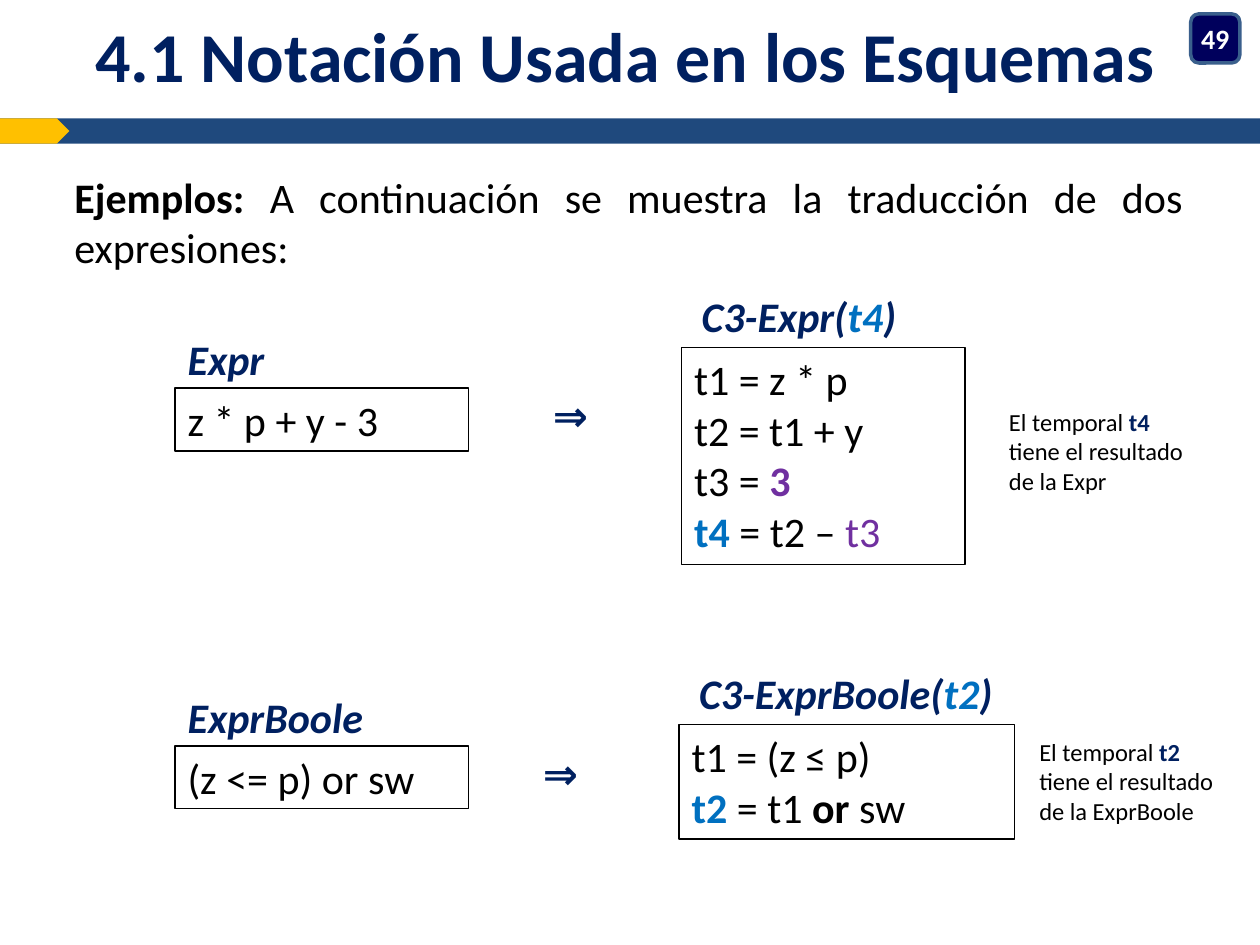
from lxml.etree import SubElement
from pptx import Presentation
from pptx.dml.color import RGBColor
from pptx.enum.shapes import MSO_SHAPE as Preset
from pptx.enum.text import MSO_ANCHOR as Anchor, MSO_AUTO_SIZE as AutoSize, PP_ALIGN as Align
from pptx.oxml.ns import qn
from pptx.util import Inches, Pt

NAVY = RGBColor(0x00, 0x20, 0x60)
BADGE_NAVY = RGBColor(0x00, 0x00, 0x5C)
BADGE_EDGE = RGBColor(0x3A, 0x5F, 0x8C)
BAND_BLUE = RGBColor(0x1F, 0x49, 0x7D)
GOLD = RGBColor(0xFF, 0xC0, 0x00)
BLUE = RGBColor(0x00, 0x70, 0xC0)
PURPLE = RGBColor(0x70, 0x30, 0xA0)
BLACK = RGBColor(0, 0, 0)
WHITE = RGBColor(0xFF, 0xFF, 0xFF)

CODE = {"size": Pt(24), "color": BLACK, "bold": False}
BOLD = {"bold": True}
RESULT = {"bold": True, "color": BLUE}
HEADING = {"size": Pt(24), "color": NAVY, "bold": True, "italic": True}
ARROW = {"size": Pt(24), "color": NAVY, "bold": True}
NOTE = {"size": Pt(14), "color": BLACK, "bold": False}
TITLE = {"size": Pt(40), "color": NAVY, "bold": True}
BADGE = {"size": Pt(16), "color": WHITE, "bold": True}

LINE_HEIGHT = 0.5
SOURCE_LEFT = 1.39
SOURCE_WIDTH = 2.33


def place(shape, left, top, width, height):
    shape.left, shape.top = Inches(left), Inches(top)
    shape.width, shape.height = Inches(width), Inches(height)


def write(shape, lines, base, align=Align.LEFT, **frame_format):
    """Fill a shape with lines, each a list of (text, changes to base) runs."""
    frame = shape.text_frame
    for name, value in frame_format.items():
        setattr(frame, name, value)
    for index, runs in enumerate(lines):
        paragraph = frame.add_paragraph() if index else frame.paragraphs[0]
        paragraph.alignment = align
        for text, changes in runs:
            run = paragraph.add_run()
            run.text = text
            run.font.name = "Calibri"
            for name, value in {**base, **changes}.items():
                if name == "color":
                    run.font.color.rgb = value
                else:
                    setattr(run.font, name, value)


def add_block(slide, preset, position, fill=None, line=None, line_width=0.75):
    shape = slide.shapes.add_shape(preset, *map(Inches, position))
    shape.shadow.inherit = False
    if fill is None:
        shape.fill.background()
    else:
        shape.fill.solid()
        shape.fill.fore_color.rgb = fill
    if line is None:
        shape.line.fill.background()
    else:
        shape.line.color.rgb = line
        shape.line.width = Pt(line_width)
    return shape


def add_label(slide, position, lines, base, wrap=True):
    box = slide.shapes.add_textbox(*map(Inches, position))
    write(box, lines, base, word_wrap=wrap, auto_size=AutoSize.SHAPE_TO_FIT_TEXT)


def add_code_box(slide, position, lines):
    box = add_block(slide, Preset.RECTANGLE, position, line=BLACK)
    write(box, lines, CODE, vertical_anchor=Anchor.TOP, word_wrap=True,
          auto_size=AutoSize.SHAPE_TO_FIT_TEXT)


def add_header(slide):
    title = slide.shapes.title
    place(title, 0, 0, 9.92, 0.86)
    write(title, [[("4.1 Notación Usada en los Esquemas", {})]], TITLE, Align.CENTER,
          margin_left=0, margin_right=0, margin_top=0, margin_bottom=0,
          vertical_anchor=Anchor.MIDDLE, auto_size=AutoSize.NONE)
    add_block(slide, Preset.RECTANGLE, (0, 0.94, 10, 0.2), BAND_BLUE)
    add_block(slide, Preset.PENTAGON, (0, 0.94, 0.55, 0.2), GOLD)
    badge = add_block(slide, Preset.ROUNDED_RECTANGLE, (9.45, 0.11, 0.39, 0.39),
                      BADGE_NAVY, BADGE_EDGE, 2)
    write(badge, [[("49", {})]], BADGE, Align.CENTER, margin_left=0, margin_right=0,
          vertical_anchor=Anchor.MIDDLE)


def add_introduction(slide):
    body = slide.placeholders[1]
    place(body, 0.49, 1.31, 9, 5.67)
    paragraph = body.text_frame.paragraphs[0]
    paragraph.space_before = Pt(0)
    properties = paragraph._p.get_or_add_pPr()
    properties.set("marL", "0")
    properties.set("indent", "0")
    SubElement(properties, qn("a:buNone"))
    write(body, [[("Ejemplos:", BOLD),
                  (" A continuación se muestra la traducción de dos expresiones:", {})]],
          CODE, Align.JUSTIFY, auto_size=AutoSize.NONE)


def add_example(slide, kind, source, source_top, arrow_left, result, code, code_at, note_at):
    """Draw one expression, its three-address code and the note on its result."""
    code_left, code_top, code_width, _ = code_at
    add_label(slide, (SOURCE_LEFT, source_top - 0.48, 1.69, LINE_HEIGHT), [[(kind, {})]], HEADING)
    add_code_box(slide, (SOURCE_LEFT, source_top, SOURCE_WIDTH, LINE_HEIGHT), [[(source, {})]])
    add_label(slide, (arrow_left, source_top - 0.04, 0.53, LINE_HEIGHT), [[("⇒", {})]],
              ARROW, wrap=False)
    add_label(slide, (code_left + 0.06, code_top - 0.5, code_width - 0.06, LINE_HEIGHT),
              [[(f"C3-{kind}(", {}), (result, RESULT), (")", {})]], HEADING)
    add_code_box(slide, code_at, code)
    add_label(slide, (*note_at, 1.6, 0.81),
              [[("El temporal ", {}), (result, {"color": NAVY, "bold": True})],
               [("tiene el resultado", {})], [(f"de la {kind}", {})]], NOTE, wrap=False)


def main():
    presentation = Presentation()
    presentation.slide_width, presentation.slide_height = Inches(10), Inches(7.5)
    slide = presentation.slides.add_slide(presentation.slide_layouts[1])
    add_header(slide)
    add_introduction(slide)
    add_example(slide, "Expr", "z * p + y - 3", 3.08, 4.29, "t4",
                [[("t1 = z * p", {})],
                 [("t2 = t1 + y", {})],
                 [("t3 = ", {}), ("3", {"bold": True, "color": PURPLE})],
                 [("t4", RESULT), (" = t2 – ", {}), ("t3", {"color": PURPLE})]],
                (5.41, 2.76, 2.25, 1.72), (7.91, 3.18))
    add_example(slide, "ExprBoole", "(z <= p) or sw", 5.92, 4.21, "t2",
                [[("t1 = (z ≤ p)", {})],
                 [("t2", RESULT), (" = t1 ", {}), ("or ", BOLD), ("sw", {})]],
                (5.39, 5.75, 2.66, 0.91), (8.15, 5.8))
    presentation.save("out.pptx")


if __name__ == "__main__":
    main()
